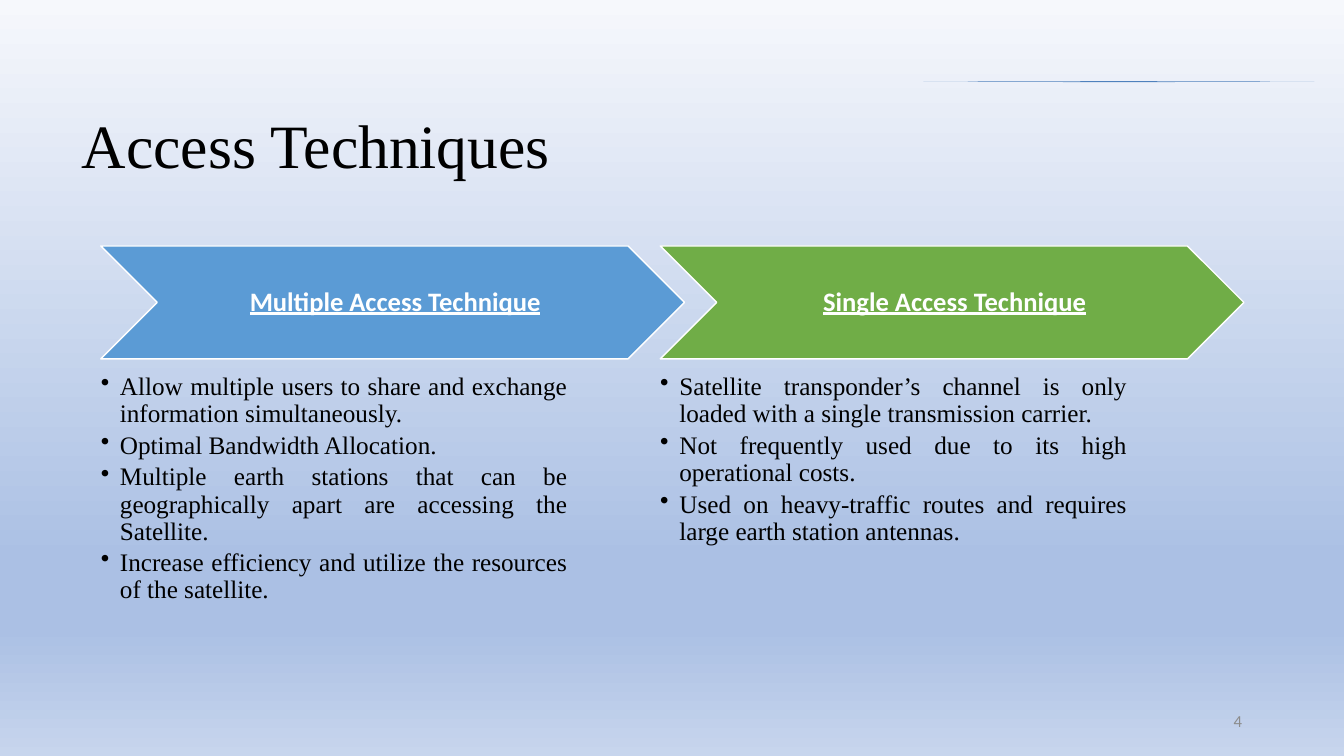
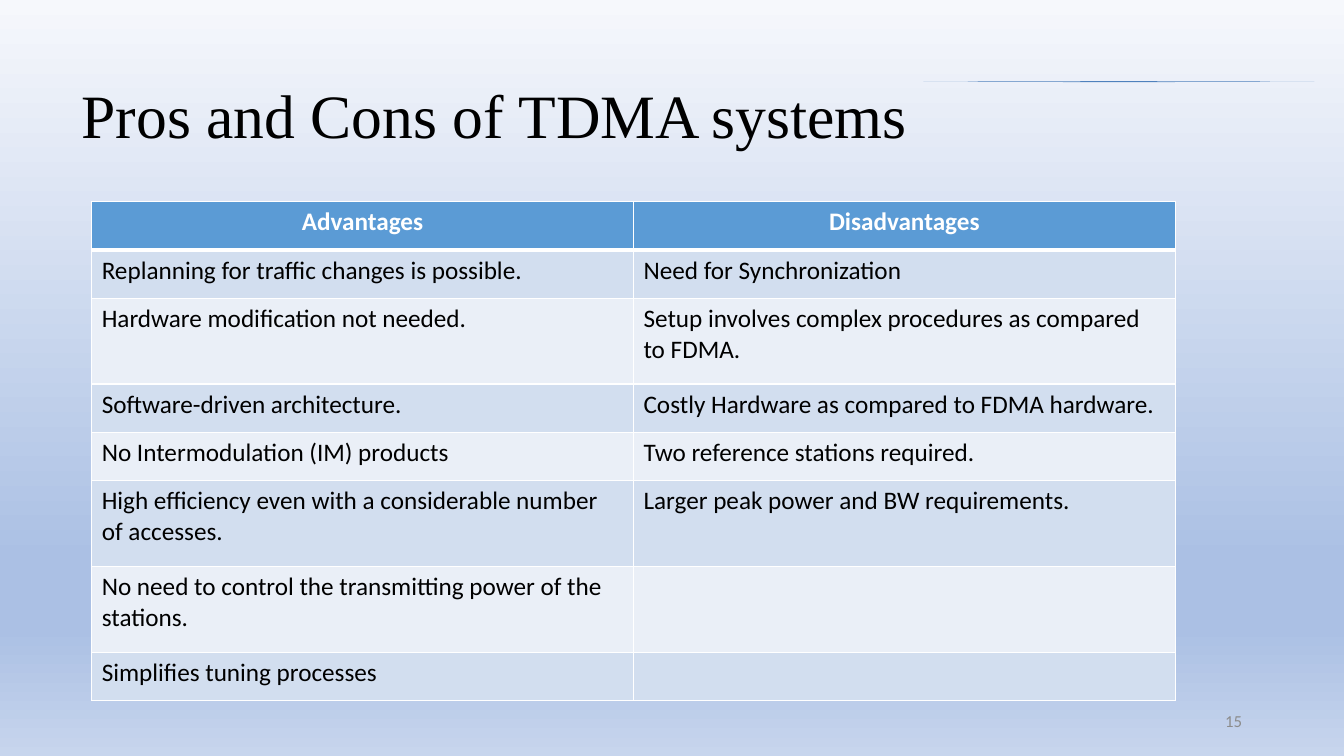
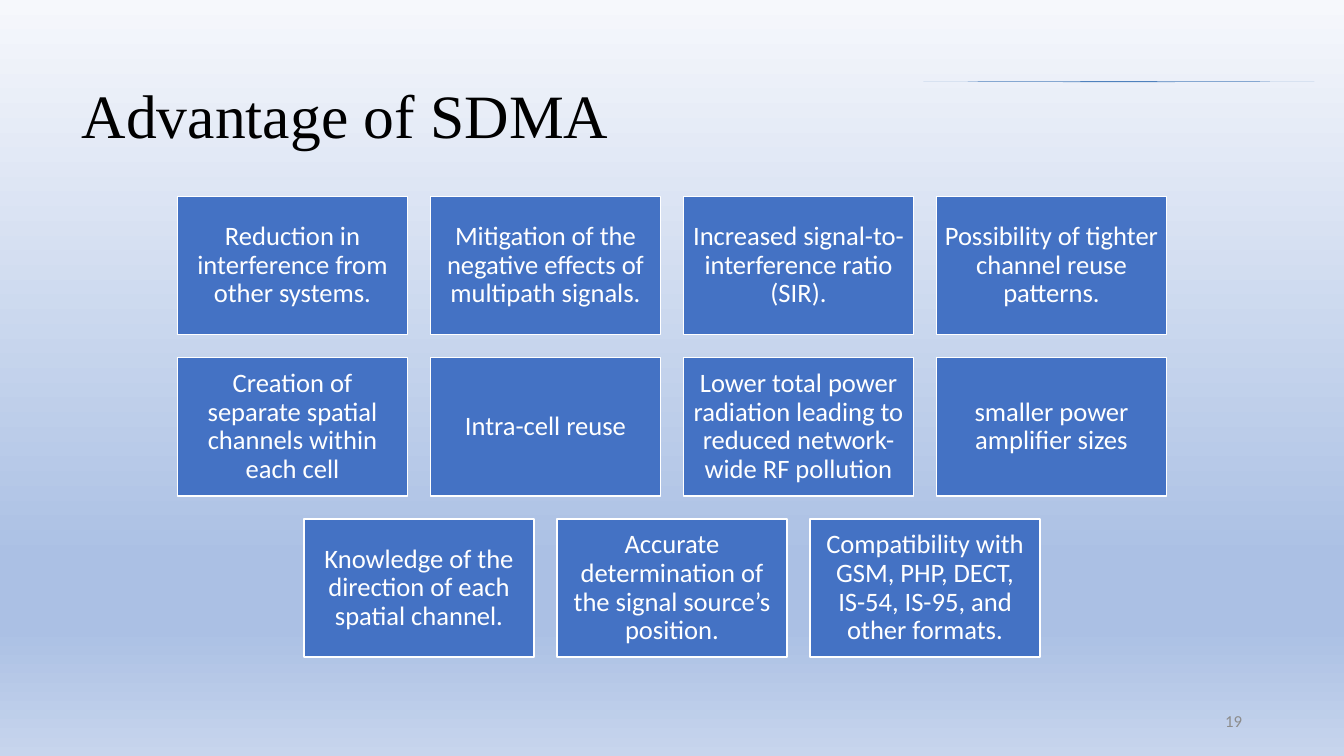
from lxml import etree
from pptx import Presentation
from pptx import util as u
from pptx.dml.color import RGBColor
from pptx.enum import shapes, text
from pptx.oxml import ns

HUE = dict(ink="000000", white="FFFFFF", note="8C8C8C", rule="4F81BD",
           sky="5B9BD5", leaf="70AD47", box="4472C4", odd="D2DEEF", even="EAEFF7")
SKY = [(0, "F6F8FC"), (74, "ABC0E4"), (83, "ABC0E4"), (100, "C7D5ED")]
WIDE, HIGH = 13.333, 7.5
SERIF, SANS = "Times New Roman", "Calibri"
LEFT, MID, RIGHT, JUST = (text.PP_ALIGN.LEFT, text.PP_ALIGN.CENTER,
                          text.PP_ALIGN.RIGHT, text.PP_ALIGN.JUSTIFY)

STYLE = dict(
    title=dict(font=dict(name=SERIF, size=u.Pt(44)), hue="ink",
               para=dict(alignment=LEFT, line_spacing=0.9)),
    page=dict(font=dict(name=SANS, size=u.Pt(12)), hue="note", para=dict(alignment=RIGHT)),
    arrow=dict(font=dict(name=SANS, size=u.Pt(19), bold=True, underline=True), hue="white",
               para=dict(alignment=MID, line_spacing=0.9), pad=(0.08, 0.03, 0.03, 0.03)),
    list=dict(font=dict(name=SERIF, size=u.Pt(18)), hue="ink", pad=(0, 0, 0, 0), top=True,
              para=dict(alignment=JUST, line_spacing=0.9, space_after=u.Pt(3)), mark="•"),
    tile=dict(font=dict(name=SANS, size=u.Pt(19)), hue="white",
              para=dict(alignment=MID, line_spacing=0.9), pad=(0.08,) * 4),
    head=dict(font=dict(name=SANS, size=u.Pt(18), bold=True), hue="white",
              para=dict(alignment=MID), top=True),
    cell=dict(font=dict(name=SANS, size=u.Pt(18), bold=False), hue="ink",
              para=dict(alignment=LEFT), top=True),
)

ACCESS = [
    ("Multiple Access Technique", "sky", [
        "Allow multiple users to share and exchange information simultaneously.",
        "Optimal Bandwidth Allocation.",
        "Multiple earth stations that can be geographically apart are accessing the Satellite.",
        "Increase efficiency and utilize the resources of the satellite."]),
    ("Single Access Technique", "leaf", [
        "Satellite transponder’s channel is only loaded with a single transmission carrier.",
        "Not frequently used due to its high operational costs.",
        "Used on heavy-traffic routes and requires large earth station antennas."]),
]
TDMA = [
    ("Advantages", "Disadvantages"),
    ("Replanning for traffic changes is possible.", "Need for Synchronization"),
    ("Hardware modification not needed.",
     "Setup involves complex procedures as compared to FDMA."),
    ("Software-driven architecture.", "Costly Hardware as compared to FDMA hardware."),
    ("No Intermodulation (IM) products", "Two reference stations required."),
    ("High efficiency even with a considerable number of accesses.",
     "Larger peak power and BW requirements."),
    ("No need to control the transmitting power of the stations.", ""),
    ("Simplifies tuning processes", ""),
]
TALL = {2, 5, 6}
SDMA = [
    ["Reduction in interference from other systems.",
     "Mitigation of the negative effects of multipath signals.",
     "Increased signal-to-interference ratio (SIR).",
     "Possibility of tighter channel reuse patterns."],
    ["Creation of separate spatial channels within each cell",
     "Intra-cell reuse",
     "Lower total power radiation leading to reduced network-wide RF pollution",
     "smaller power amplifier sizes"],
    ["Knowledge of the direction of each spatial channel.",
     "Accurate determination of the signal source’s position.",
     "Compatibility with GSM, PHP, DECT, IS-54, IS-95, and other formats."],
]


def rgb(name):
    return RGBColor.from_string(HUE[name])


def put(obj, vals):
    for key, val in vals.items():
        setattr(obj, key, val)


def area(*vals):
    return [u.Inches(val) for val in vals]


def sub(node, tag, **vals):
    return etree.SubElement(node, ns.qn(tag), vals)


def write(frame, lines, kind):
    form = STYLE[kind]
    frame.word_wrap = True
    frame.vertical_anchor = text.MSO_ANCHOR.TOP if form.get("top") else text.MSO_ANCHOR.MIDDLE
    for side, val in zip(("left", "top", "right", "bottom"), form.get("pad", ())):
        setattr(frame, "margin_" + side, u.Inches(val))
    for i, line in enumerate(lines):
        para = frame.add_paragraph() if i else frame.paragraphs[0]
        put(para, form["para"])
        if "mark" in form:
            props = para._p.get_or_add_pPr()
            step = u.Inches(0.19)
            props.set("marL", str(step))
            props.set("indent", str(-step))
            sub(props, "a:buChar", char=form["mark"])
        run = para.add_run()
        run.text = line
        put(run.font, form["font"])
        run.font.color.rgb = rgb(form["hue"])


def label(slide, place, lines, kind):
    write(slide.shapes.add_textbox(*area(*place)).text_frame, lines, kind)


def block(slide, shape, place, hue, line, kind):
    item = slide.shapes.add_shape(shape, *area(*place))
    item.shadow.inherit = False
    item.fill.solid()
    item.fill.fore_color.rgb = rgb(hue)
    item.line.color.rgb = rgb("white")
    item.line.width = u.Pt(1)
    write(item.text_frame, [line], kind)


def paint(master):
    fill = master.background.fill
    fill.gradient()
    fill.gradient_angle = 270
    stops = master._element.find(".//" + ns.qn("p:bgPr")).find(".//" + ns.qn("a:gsLst"))
    for old in list(stops):
        stops.remove(old)
    for pos, code in SKY:
        sub(sub(stops, "a:gs", pos=str(pos * 1000)), "a:srgbClr", val=code)


def start(deck, title, page, deep=1.36):
    slide = deck.slides.add_slide(deck.slide_layouts[5])
    head = slide.shapes.title
    put(head, dict(zip(("left", "top", "width", "height"), area(0.71, 0.5, 11.71, deep))))
    write(head.text_frame, [title], "title")
    head.text_frame.auto_size = text.MSO_AUTO_SIZE.NONE
    label(slide, (9.42, 6.95, 3, 0.4), [str(page)], "page")
    pen = slide.shapes.build_freeform(9160, 810, u.Inches(1) / 1000)
    pen.add_line_segments([(11100, 805), (13040, 810), (11100, 815)])
    rule = pen.convert_to_shape()
    rule.shadow.inherit = False
    rule.fill.solid()
    rule.fill.fore_color.rgb = rgb("rule")
    rule.line.fill.background()
    return slide


def access(deck):
    slide = start(deck, "Access Techniques", 4, 1.95)
    for i, (name, hue, lines) in enumerate(ACCESS):
        x = 1 + 5.55 * i
        block(slide, shapes.MSO_SHAPE.CHEVRON, (x, 2.44, 5.79, 1.12), hue, name, "arrow")
        label(slide, (x, 3.71, 4.63, 2.24), lines, "list")


def edge(cell, row):
    props = cell._tc.get_or_add_tcPr()
    for side in "LRTB":
        thick = (row, side) in ((0, "B"), (1, "T"))
        line = sub(props, "a:ln" + side, w=str(u.Pt(3 if thick else 1)))
        sub(sub(line, "a:solidFill"), "a:srgbClr", val=HUE["white"])


def tdma(deck):
    slide = start(deck, "Pros and Cons of TDMA systems", 15)
    grid = slide.shapes.add_table(len(TDMA), 2, *area(0.91, 2, 10.75, 4.96)).table
    put(grid, dict(first_row=False, horz_banding=False))
    for r, line in enumerate(TDMA):
        grid.rows[r].height = u.Inches(0.85 if r in TALL else 0.48)
        for c, word in enumerate(line):
            cell = grid.cell(r, c)
            edge(cell, r)
            cell.fill.solid()
            cell.fill.fore_color.rgb = rgb(("odd" if r % 2 else "even") if r else "sky")
            if word:
                write(cell.text_frame, [word], "cell" if r else "head")


def sdma(deck):
    slide = start(deck, "Advantage of SDMA", 19)
    wide, high, gap = 2.28, 1.37, 0.23
    for r, line in enumerate(SDMA):
        left = (WIDE - len(line) * (wide + gap) + gap) / 2
        for c, word in enumerate(line):
            place = (left + c * (wide + gap), 1.95 + r * (high + gap), wide, high)
            block(slide, shapes.MSO_SHAPE.RECTANGLE, place, "box", word, "tile")


def main():
    deck = Presentation()
    deck.slide_width, deck.slide_height = area(WIDE, HIGH)
    paint(deck.slide_master)
    for make in (access, tdma, sdma):
        make(deck)
    deck.save("out.pptx")


if __name__ == "__main__":
    main()
